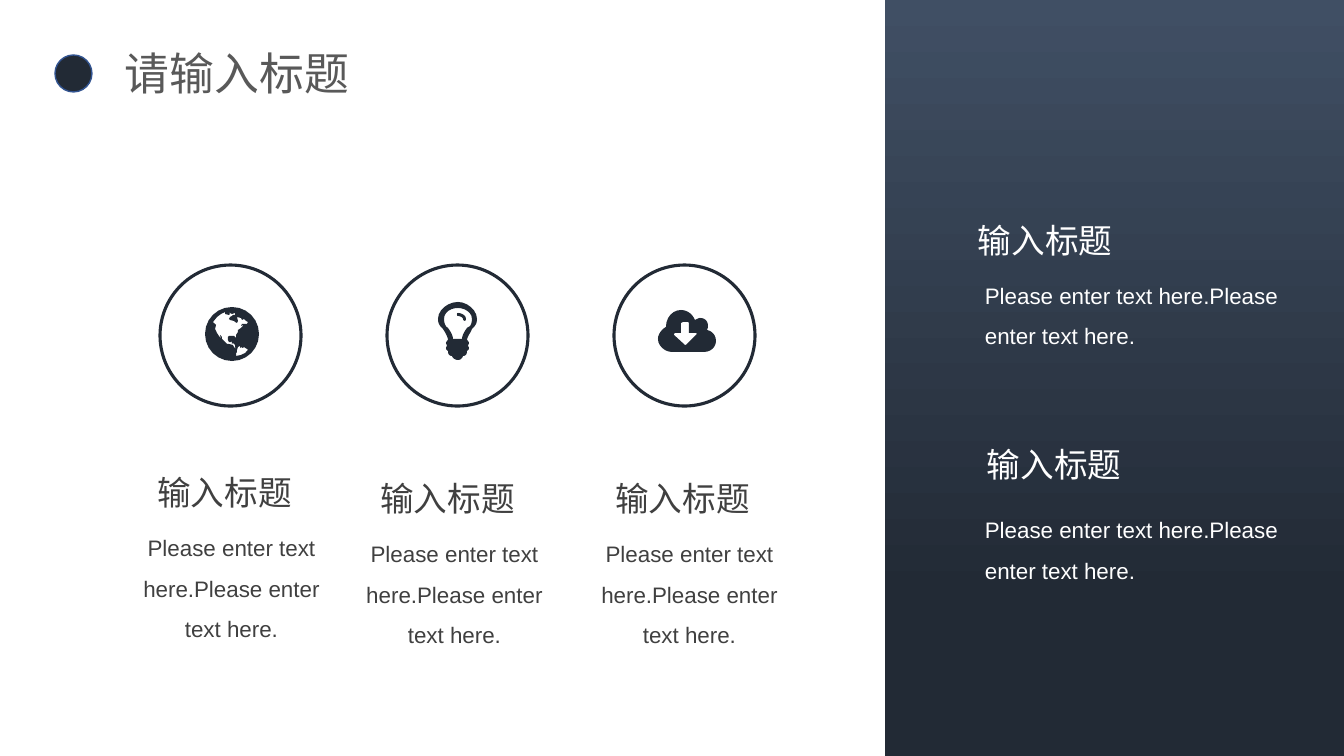
from itertools import chain

from pptx import Presentation
from pptx.dml.color import RGBColor
from pptx.enum.shapes import MSO_SHAPE as SHAPE
from pptx.enum.text import MSO_AUTO_SIZE as AUTO, PP_ALIGN as ALIGN
from pptx.util import Emu, Pt

PX = 914400 / 100.8
NAVY, SLATE, WHITE = "222A35", "404F64", "FFFFFF"
TITLE_GREY, TEXT_GREY = "595959", "404040"
HEADING = "输入标题"
BODY = "Please enter text here.Please enter text here."


def px(n):
    return Emu(round(n * PX))


def rgb(value):
    return RGBColor.from_string(value)


def curve(*points, steps=6):
    """Sample a chain of cubic Béziers: a start, then two handles and an end each."""
    result = [points[0]]
    for i in range(0, len(points) - 3, 3):
        a, b, c, d = points[i:i + 4]
        for k in range(1, steps + 1):
            t = k / steps
            u = 1 - t
            result.append(tuple(
                u ** 3 * a[n] + 3 * u * u * t * b[n] + 3 * u * t * t * c[n] + t ** 3 * d[n]
                for n in (0, 1)))
    return result


GLOBE = [
    curve((54, 27), (54, 42), (42, 54), (27, 54), (12, 54), (0, 42), (0, 27),
          (0, 12), (12, 0), (27, 0), (42, 0), (54, 12), (54, 27)),
    [(36, 19), (37, 17), (42, 17), (43, 15), (41, 14), (39, 12), (37, 13),
     (36, 11), (32, 10), (33, 14), (32, 16), (30, 15), (29, 14), (25, 13),
     (24, 12), (25, 10), (27, 9), (28, 8), (30, 8), (30, 6), (27, 7), (25, 6),
     (23, 5), (25, 7), (24, 8), (20, 7), (20, 5), (16, 7), (12, 10), (8, 15),
     (11, 18), (10, 22), (12, 26), (14, 29), (16, 32), (15, 28), (17, 30),
     (17, 32), (19, 34), (22, 37), (24, 37), (28, 38), (29, 40), (31, 42),
     (30, 40), (30, 38), (28, 36), (27, 37), (27, 34), (26, 35), (24, 35),
     (23, 33), (23, 30), (24, 29), (29, 29), (31, 31), (31, 28), (33, 25),
     (33, 23), (36, 21), (38, 19), (38, 18)],
    [(43, 43), (42, 42), (39, 40), (38, 41), (36, 40), (35, 41), (35, 39),
     (33, 40), (32, 43), (32, 45), (31, 46), (31, 49), (36, 48), (40, 46)],
]
BULB = [
    curve((34, 27), (33, 30), (29, 35), (29, 38), (30, 39), (31, 40), (31, 41),
          (31, 42), (30, 43), (30, 44), (30, 44), (31, 45), (31, 46),
          (31, 48), (30, 48), (29, 49), (29, 52), (28, 54), (25, 54),
          (24, 57), (22, 58), (20, 58), (18, 58), (15, 57), (14, 54),
          (12, 54), (10, 53), (10, 49), (9, 48), (8, 48), (8, 46),
          (8, 45), (9, 44), (9, 44), (9, 43), (8, 42), (8, 41),
          (8, 40), (9, 39), (10, 38), (10, 35), (7, 30), (5, 27),
          (2, 24), (0, 22), (0, 17), (0, 8), (10, 0), (20, 0),
          (29, 0), (39, 8), (39, 17), (39, 22), (37, 24), (34, 27)),
    curve((20, 6), (13, 6), (6, 10), (6, 17), (6, 20), (7, 23), (8, 24),
          (8, 25), (9, 25), (10, 26), (13, 30), (15, 34), (15, 37),
          (18, 37), (21, 37), (24, 37), (24, 34), (26, 30), (29, 26),
          (30, 25), (31, 25), (32, 24), (33, 23), (34, 20), (34, 17),
          (34, 10), (26, 6), (20, 6)),
    curve((27, 19), (26, 19), (25, 18), (25, 17), (25, 15), (21, 14), (20, 14),
          (19, 14), (19, 13), (19, 12), (19, 12), (19, 11), (20, 11),
          (23, 11), (28, 13), (28, 17), (28, 18), (27, 19), (27, 19)),
]
CLOUD = [
    curve((46, 42), (36, 42), (24, 42), (14, 42), (7, 42), (0, 36), (0, 29),
          (0, 24), (4, 19), (8, 17), (8, 7), (15, 0), (23, 0),
          (30, 0), (35, 5), (37, 10), (39, 9), (41, 8), (42, 8),
          (47, 8), (50, 11), (50, 16), (50, 17), (50, 18), (49, 20),
          (54, 21), (58, 25), (58, 31), (58, 37), (53, 42), (46, 42)),
    [(38, 23), (31, 23), (31, 13), (30, 12), (25, 12), (23, 13), (23, 23),
     (17, 23), (16, 24), (16, 25), (27, 35), (28, 35), (38, 25), (39, 24)],
]


def add_shape(s, kind, x, y, w, h, fill=None, line=None, width=1):
    sp = s.shapes.add_shape(kind, px(x), px(y), px(w), px(h))
    sp.shadow.inherit = False
    if fill:
        sp.fill.solid()
        sp.fill.fore_color.rgb = rgb(fill)
    else:
        sp.fill.background()
    if line:
        sp.line.color.rgb = rgb(line)
        sp.line.width = Pt(width)
    else:
        sp.line.fill.background()
    return sp


def add_panel(s, x, y, w, h):
    sp = add_shape(s, SHAPE.RECTANGLE, x, y, w, h)
    sp.fill.gradient()
    sp.fill.gradient_angle = 270
    for stop, color, position in zip(sp.fill.gradient_stops, (SLATE, NAVY), (0, 0.79)):
        stop.color.rgb = rgb(color)
        stop.position = position


def add_icon(s, x, y, contours):
    """Draw closed contours as one shape; inner contours become holes."""
    placed = [[(px(x + u), px(y + v)) for u, v in c] for c in contours]
    builder = s.shapes.build_freeform(*placed[0][0], scale=1.0)
    for i, points in enumerate(placed):
        if i:
            builder.move_to(*points[0])
        builder.add_line_segments(points[1:], close=True)
    sp = builder.convert_to_shape()
    sp.shadow.inherit = False
    sp.fill.solid()
    sp.fill.fore_color.rgb = rgb(NAVY)
    sp.line.fill.background()


def add_text(s, x, y, w, h, text, size, color, align=ALIGN.LEFT, spacing=None, wrap=True):
    tf = s.shapes.add_textbox(px(x), px(y), px(w), px(h)).text_frame
    tf.word_wrap = wrap
    tf.auto_size = AUTO.SHAPE_TO_FIT_TEXT
    p = tf.paragraphs[0]
    p.alignment = align
    if spacing:
        p.line_spacing = spacing
    r = p.add_run()
    r.text = text
    r.font.name = "Arial"
    r.font.size = Pt(size)
    r.font.color.rgb = rgb(color)


def add_column(s, x, y):
    add_text(s, x, y + 49, 219, 128, BODY, 16, TEXT_GREY, ALIGN.CENTER, 1.5)
    add_text(s, x + 5, y, 195, 50, HEADING, 24, TEXT_GREY, ALIGN.CENTER)


def main():
    prs = Presentation()
    prs.slide_width, prs.slide_height = px(1344), px(756)
    s = prs.slides.add_slide(prs.slide_layouts[6])

    add_panel(s, 885, 0, 459, 756)
    for heading_x, heading_y, body_y in ((968, 215, 264), (977, 439, 498)):
        add_text(s, 975, body_y, 324, 87, BODY, 16, WHITE, spacing=1.5)
        add_text(s, heading_x, heading_y, 226, 50, HEADING, 24, WHITE)

    icons = ((205, 307, GLOBE), (438, 302, BULB), (658, 310, CLOUD))
    columns = ((122, 467), (345, 473), (580, 473))
    for i, (icon, column) in enumerate(zip(icons, columns)):
        add_shape(s, SHAPE.OVAL, 160 + 227 * i, 265, 141, 141, line=NAVY, width=2.25)
        add_icon(s, *icon)
        add_column(s, *column)

    add_text(s, 115, 41, 247, 65, "请输入标题", 32, TITLE_GREY, wrap=False)
    add_shape(s, SHAPE.OVAL, 55, 55, 37, 37, fill=NAVY, line="325491")
    prs.save("out.pptx")


if __name__ == "__main__":
    main()
